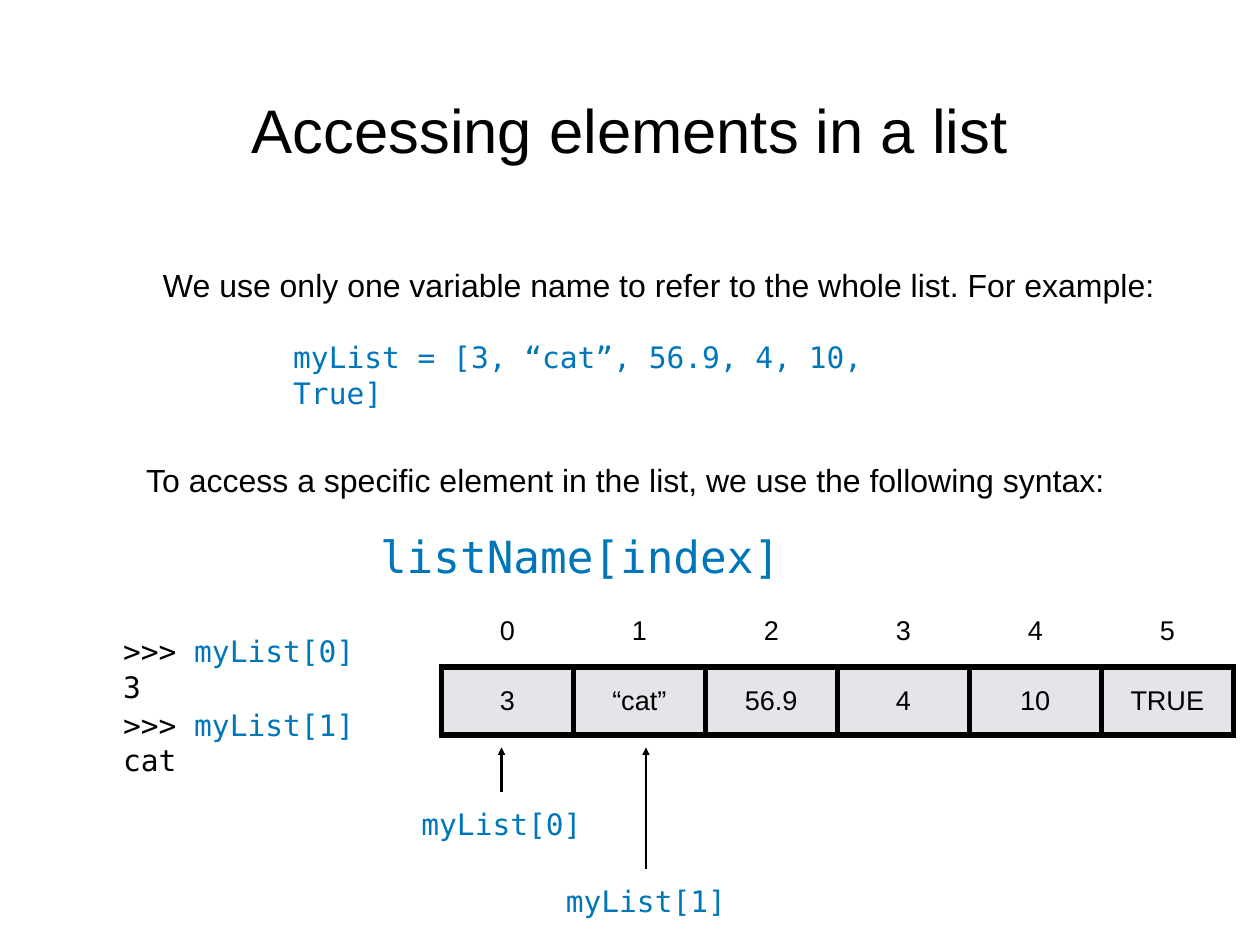
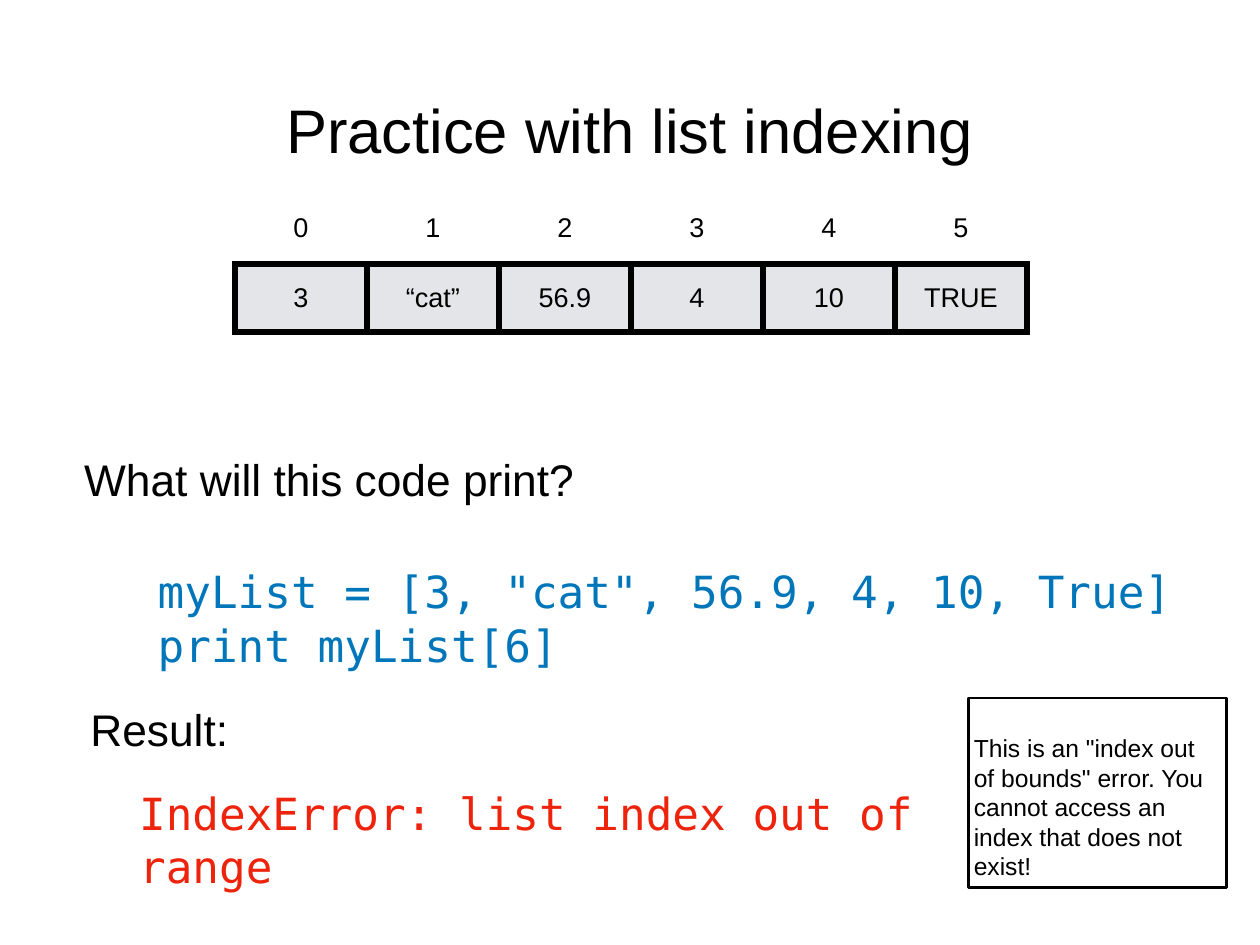
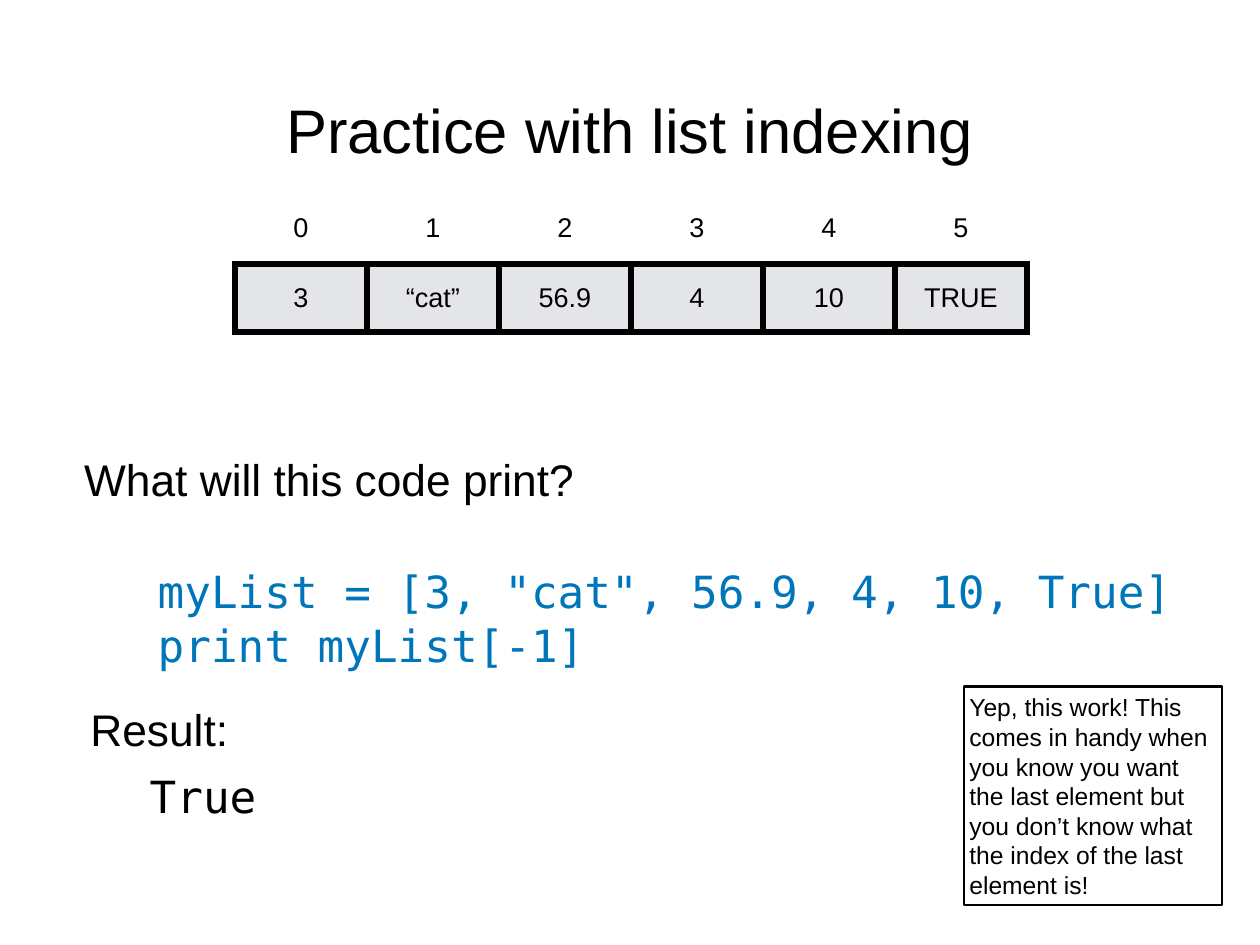
"""Build three slides on list indexing."""
import dataclasses

import lxml.etree
import pptx
import pptx.dml.color
import pptx.enum.shapes
import pptx.enum.text
import pptx.oxml.ns
import pptx.util

Inches = pptx.util.Inches
Pt = pptx.util.Pt
ALIGN = pptx.enum.text.PP_ALIGN
ANCHOR = pptx.enum.text.MSO_ANCHOR


@dataclasses.dataclass(frozen=True)
class Theme:
    """Hold the fonts, colours, sizes and shared boxes."""
    sans: str = "Arial"
    mono: str = "DejaVu Sans Mono"
    ink: str = "000000"
    blue: str = "0076BA"
    red: str = "EE230C"
    white: str = "FFFFFF"
    grey: str = "E3E5E8"
    head: int = 50
    large: int = 36
    lead: int = 26
    code: int = 24
    cell: int = 22
    note: int = 20
    line: int = 2
    edge: int = 5
    inset: float = 0.06
    title: tuple = (1.04, 0.28, 12.14, 2.36)


T = Theme()
VALUES = ["3", "“cat”", "56.9", "4", "10", "TRUE"]


def apply(obj, values):
    """Set each attribute in a dict of format values."""
    for key, value in values.items():
        setattr(obj, key, value)


def rgb(color):
    """Turn a hex string into a colour."""
    return pptx.dml.color.RGBColor.from_string(color)


def area(box):
    """Turn a box in inches into lengths."""
    return [Inches(n) for n in box]


def margins():
    """Give the inset on all four sides."""
    return {f"margin_{side}": Inches(T.inset)
            for side in ("left", "right", "top", "bottom")}


def write(frame, lines, size, font=T.sans, color=T.ink, align=ALIGN.LEFT):
    """Fill a text frame with lines of plain or (text, colour) runs."""
    for i, line in enumerate(lines):
        para = frame.add_paragraph() if i else frame.paragraphs[0]
        para.alignment = align
        for part in [(line, color)] if isinstance(line, str) else line:
            run = para.add_run()
            run.text = part[0]
            apply(run.font, {"name": font, "size": Pt(size), "bold": False})
            run.font.color.rgb = rgb(part[1])


def setup(frame):
    """Give a text frame the shared wrap, anchor and insets."""
    apply(frame, {"word_wrap": True, "vertical_anchor": ANCHOR.MIDDLE,
                  "auto_size": pptx.enum.text.MSO_AUTO_SIZE.NONE,
                  **margins()})


def label(slide, box, lines, size, **style):
    """Place a text box."""
    frame = slide.shapes.add_textbox(*area(box)).text_frame
    setup(frame)
    write(frame, lines, size, **style)


def start(deck, text):
    """Add a slide with its title."""
    slide = deck.slides.add_slide(deck.slide_layouts[5])
    title = slide.shapes.title
    apply(title, dict(zip(("left", "top", "width", "height"), area(T.title))))
    setup(title.text_frame)
    write(title.text_frame, [text], T.head, align=ALIGN.CENTER)
    return slide


def border(cell, sides):
    """Draw black borders on the named sides of a cell."""
    props = cell._tc.get_or_add_tcPr()
    qn = pptx.oxml.ns.qn
    for i, side in enumerate(sides):
        line = lxml.etree.Element(qn(f"a:ln{side}"), w=str(Pt(T.edge)))
        fill = lxml.etree.SubElement(line, qn("a:solidFill"))
        lxml.etree.SubElement(fill, qn("a:srgbClr"), val=T.ink)
        props.insert(i, line)


def grid(slide, box):
    """Draw the list as a row of indexes over a row of values."""
    count = len(VALUES)
    table = slide.shapes.add_table(2, count, *area(box)).table
    apply(table, {"first_row": False, "horz_banding": False})
    for col in table.columns:
        col.width = Inches(box[2] / count)
    rows = [(map(str, range(count)), T.white, "B", 0.8),
            (VALUES, T.grey, "LRTB", 0.77)]
    for r, (texts, fill, sides, height) in enumerate(rows):
        table.rows[r].height = Inches(height)
        for c, text in enumerate(texts):
            cell = table.cell(r, c)
            apply(cell, {"vertical_anchor": ANCHOR.MIDDLE, **margins()})
            cell.fill.solid()
            cell.fill.fore_color.rgb = rgb(fill)
            write(cell.text_frame, [text], T.cell, align=ALIGN.CENTER)
            border(cell, sides)


def mark(slide, box, text):
    """Draw an upward arrow in the middle of a box, with a label below."""
    left, top, width, height = box
    mid, foot = left + width / 2, top + height
    kind = pptx.enum.shapes.MSO_CONNECTOR.STRAIGHT
    arrow = slide.shapes.add_connector(kind, *area((mid, foot, mid, top)))
    arrow.line.width = Pt(T.line)
    arrow.line.color.rgb = rgb(T.ink)
    qn = pptx.oxml.ns.qn
    lxml.etree.SubElement(arrow.line._get_or_add_ln(), qn("a:tailEnd"),
                          type="triangle")
    lxml.etree.SubElement(arrow._element.spPr, qn("a:effectLst"))
    label(slide, (left, foot + 0.12, width, 0.49), [text], T.code,
          font=T.mono, color=T.blue, align=ALIGN.CENTER)


def shell(slide, box, call, result):
    """Show a prompt with a call and its result."""
    label(slide, box, [[(">>> ", T.ink), (call, T.blue)], result],
          T.code, font=T.mono)


def note(slide, box, text, drop=0):
    """Place an outlined remark, its text lowered by a drop."""
    kind = pptx.enum.shapes.MSO_SHAPE.RECTANGLE
    shape = slide.shapes.add_shape(kind, *area(box))
    shape.shadow.inherit = False
    shape.fill.background()
    shape.line.width = Pt(T.line)
    shape.line.color.rgb = rgb(T.ink)
    setup(shape.text_frame)
    shape.text_frame.margin_top = Inches(T.inset + drop)
    write(shape.text_frame, [text], T.note)


def access(deck):
    """Build the slide on accessing elements."""
    slide = start(deck, "Accessing elements in a list")
    blue = {"font": T.mono, "color": T.blue}
    label(slide, (1.78, 2.95, 11.6, 0.53),
          ["We use only one variable name to refer to the whole list. "
           "For example:"], T.lead)
    label(slide, (3.25, 3.79, 7.6, 0.88),
          ["myList = [3, “cat”, 56.9, 4, 10, True]"], T.code, **blue)
    label(slide, (1.59, 5.15, 11.04, 0.53),
          ["To access a specific element in the list, we use the following "
           "syntax:"], T.lead)
    label(slide, (4.23, 5.94, 4.93, 0.68), ["listName[index]"],
          T.large, **blue)
    grid(slide, (4.98, 6.73, 8.94, 1.57))
    for i, (result, left, height) in enumerate(
            [("3", 4.56, 0.5), ("cat", 6.19, 1.37)]):
        call = f"myList[{i}]"
        shell(slide, (1.33, 7.1 + 0.83 * i, 3.13, 0.9), call, result)
        mark(slide, (left, 8.44, 2.2, height), call)


def practice(deck, index, result, box, color):
    """Build a practice slide and return it."""
    slide = start(deck, "Practice with list indexing")
    grid(slide, (2.65, 2.18, 8.94, 1.57))
    label(slide, (0.89, 5.05, 5.79, 0.72), ["What will this code print?"],
          T.large)
    label(slide, (1.72, 6.3, 12.13, 1.35),
          ['myList = [3, "cat", 56.9, 4, 10, True]',
           f"print myList[{index}]"], T.large, font=T.mono, color=T.blue)
    label(slide, (0.96, 7.87, 2, 0.71), ["Result:"], T.large)
    label(slide, box, [result], T.large, font=T.mono, color=color)
    return slide


def main():
    """Build and save the deck."""
    deck = pptx.Presentation()
    apply(deck, {"slide_width": Inches(14.22), "slide_height": Inches(10.67)})
    access(deck)
    slide = practice(deck, 6, "IndexError: list index out of range",
                     (1.51, 8.85, 9.25, 1.25), T.red)
    note(slide, (10.93, 7.88, 2.91, 2.14),
         'This is an "index out of bounds" error. You cannot access an index '
         "that does not exist!", 0.32)
    slide = practice(deck, -1, "True", (1.63, 8.65, 1.6, 0.68), T.ink)
    note(slide, (10.88, 7.75, 2.91, 2.47),
         "Yep, this work! This comes in handy when you know you want the last "
         "element but you don’t know what the index of the last element is!")
    deck.save("out.pptx")


if __name__ == "__main__":
    main()
